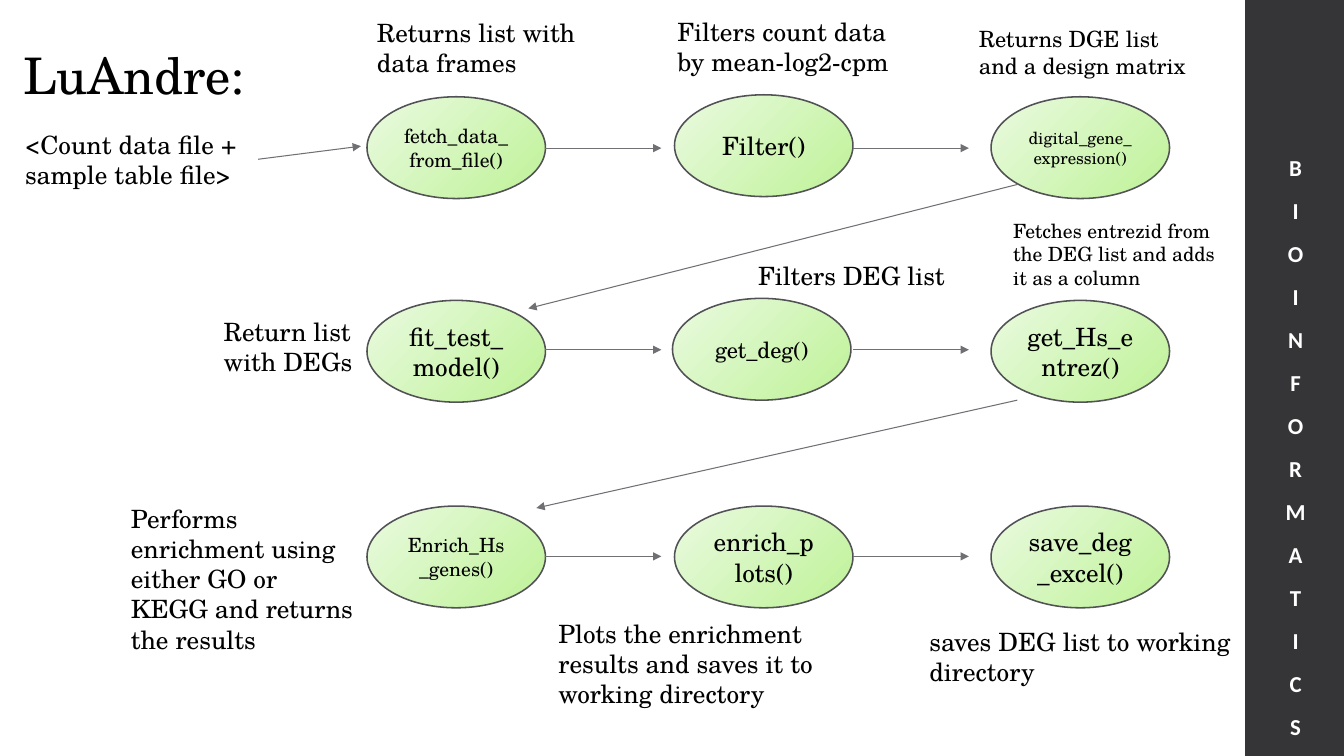
"""Build the LuAndre pipeline slide."""
from dataclasses import dataclass

from lxml.etree import SubElement
from pptx import Presentation
from pptx.dml.color import RGBColor
from pptx.enum.shapes import MSO_CONNECTOR, MSO_SHAPE
from pptx.enum.text import MSO_ANCHOR, MSO_AUTO_SIZE, PP_ALIGN
from pptx.oxml.ns import qn
from pptx.slide import Slide
from pptx.text.text import TextFrame
from pptx.util import Inches, Pt

COLORS = {
    "black": "000000",
    "white": "FFFFFF",
    "sidebar": "353537",
    "outline": "525256",
    "arrow": "6F6F74",
    "green": "BEF297",
    "pale green": "EAFAE0",
}
SERIF = "TeX Gyre Schola"
COLUMNS = (3.64, 6.69, 9.83)
ROW_CENTERS = (1.47, 3.47, 5.52)
STEP_WIDTH, STEP_HEIGHT = 1.77, 1.01
ARROW_LENGTH = 1.15


@dataclass(frozen=True)
class Step:
    text: str
    left: float
    top: float
    size: float = 18


@dataclass(frozen=True)
class Note:
    text: str
    left: float
    top: float
    width: float
    height: float
    size: float = 18


@dataclass(frozen=True)
class Arrow:
    start: tuple[float, float]
    end: tuple[float, float]


STEPS = (
    Step("fetch_data_from_file()", COLUMNS[0], 0.96, 14),
    Step("Filter()", COLUMNS[1], 0.94),
    Step("digital_gene_expression()", COLUMNS[2], 0.96, 12),
    Step("fit_test_model()", COLUMNS[0], 2.98),
    Step("get_deg()", 6.67, 2.96, 16),
    Step("get_Hs_entrez()", COLUMNS[2], 2.98),
    Step("Enrich_Hs_genes()", COLUMNS[0], 5.02, 14),
    Step("enrich_plots()", COLUMNS[1], 5.02),
    Step("save_deg_excel()", COLUMNS[2], 5.02),
)
NOTES = (
    Note("<Count data file + sample table file>", 0.15, 1.23, 2.41, 0.71),
    Note("Returns list with data frames", 3.64, 0.12, 2.41, 0.71),
    Note("Filters count data by mean-log2-cpm", 6.62, 0.11, 2.41, 0.71),
    Note("Returns DGE list and a design matrix", 9.61, 0.2, 2.41, 0.64, 16),
    Note("Return list with DEGs", 2.12, 3.09, 1.65, 0.71),
    Note("Filters DEG list", 7.42, 2.53, 2.41, 0.4),
    Note("Fetches entrezid from the DEG list and adds it as a column",
         9.95, 2.12, 2.27, 0.81, 14),
    Note("Performs enrichment using either GO or KEGG and returns the results",
         1.2, 4.94, 2.41, 1.62),
    Note("Plots the enrichment results and saves it to working directory",
         5.44, 6.08, 3.29, 1.01),
    Note("saves DEG list to working directory", 9.12, 6.16, 3.29, 0.71),
)
ROW_ARROWS = tuple(
    Arrow((left + STEP_WIDTH, center), (left + STEP_WIDTH + ARROW_LENGTH, center))
    for center in ROW_CENTERS
    for left in COLUMNS[:2]
)
LINK_ARROWS = (
    Arrow((10.09, 1.83), (5.24, 3.06)),
    Arrow((10.09, 3.97), (5.32, 5.04)),
    Arrow((2.56, 1.58), (3.58, 1.45)),
)


def rgb(name: str) -> RGBColor:
    """Return the named colour."""
    return RGBColor.from_string(COLORS[name])


def write(frame: TextFrame, text: str, *, size: float = 18, font: str = SERIF,
          color: str = "black", bold: bool = False,
          align: PP_ALIGN = PP_ALIGN.LEFT, anchor: MSO_ANCHOR = MSO_ANCHOR.TOP,
          auto_size: MSO_AUTO_SIZE = MSO_AUTO_SIZE.NONE,
          line_spacing: float = 1.0, before: float = 0, after: float = 0) -> None:
    """Fill a text frame with one formatted paragraph per line of text."""
    frame.text = text
    frame.word_wrap = True
    frame.auto_size = auto_size
    frame.vertical_anchor = anchor
    for paragraph in frame.paragraphs:
        paragraph.alignment = align
        paragraph.line_spacing = line_spacing
        paragraph.space_before = Pt(before)
        paragraph.space_after = Pt(after)
        for run in paragraph.runs:
            run.font.name = font
            run.font.size = Pt(size)
            run.font.bold = bold
            run.font.color.rgb = rgb(color)


def add_sidebar(slide: Slide) -> None:
    """Draw the dark strip with its vertical word."""
    strip = slide.shapes.add_shape(
        MSO_SHAPE.RECTANGLE, Inches(12.35), 0, Inches(1), Inches(7.5))
    strip.shadow.inherit = False
    strip.fill.solid()
    strip.fill.fore_color.rgb = rgb("sidebar")
    strip.line.fill.background()
    box = slide.shapes.add_textbox(
        Inches(12.05), Inches(1.54), Inches(1.6), Inches(5.83))
    write(box.text_frame, "\n".join("BIOINFORMATICS"), size=16.3, font="Calibri",
          color="white", bold=True, align=PP_ALIGN.CENTER,
          line_spacing=0.75, before=14, after=2)


def add_title(slide: Slide) -> None:
    """Place and fill the title."""
    title = slide.shapes.title
    title.left, title.top = Inches(0.13), Inches(0.39)
    title.width, title.height = Inches(10.12), Inches(0.71)
    write(title.text_frame, "LuAndre:", size=36)


def add_step(slide: Slide, step: Step) -> None:
    """Draw one function of the pipeline as an ellipse."""
    shape = slide.shapes.add_shape(
        MSO_SHAPE.OVAL, Inches(step.left), Inches(step.top),
        Inches(STEP_WIDTH), Inches(STEP_HEIGHT))
    shape.shadow.inherit = False
    shape.fill.gradient()
    shape.fill.gradient_angle = 135
    for stop, name in zip(shape.fill.gradient_stops, ("green", "pale green")):
        stop.color.rgb = rgb(name)
    shape.line.color.rgb = rgb("outline")
    shape.line.width = Pt(1.1)
    write(shape.text_frame, step.text, size=step.size,
          align=PP_ALIGN.CENTER, anchor=MSO_ANCHOR.MIDDLE)


def add_arrow(slide: Slide, arrow: Arrow) -> None:
    """Draw a thin line with a triangle at its end."""
    connector = slide.shapes.add_connector(
        MSO_CONNECTOR.STRAIGHT,
        *(Inches(value) for value in arrow.start + arrow.end))
    connector.line.color.rgb = rgb("arrow")
    connector.line.width = Pt(0.75)
    properties = connector.element.spPr
    SubElement(properties.find(qn("a:ln")), qn("a:tailEnd"), type="triangle")
    SubElement(properties, qn("a:effectLst"))


def add_note(slide: Slide, note: Note) -> None:
    """Add one explanatory text box."""
    box = slide.shapes.add_textbox(
        Inches(note.left), Inches(note.top),
        Inches(note.width), Inches(note.height))
    write(box.text_frame, note.text, size=note.size,
          auto_size=MSO_AUTO_SIZE.SHAPE_TO_FIT_TEXT)


def main() -> None:
    """Build and save the presentation."""
    presentation = Presentation()
    presentation.slide_width = Inches(13.33)
    presentation.slide_height = Inches(7.5)
    slide = presentation.slides.add_slide(presentation.slide_layouts[5])
    add_sidebar(slide)
    add_title(slide)
    for step in STEPS:
        add_step(slide, step)
    for arrow in ROW_ARROWS + LINK_ARROWS:
        add_arrow(slide, arrow)
    for note in NOTES:
        add_note(slide, note)
    presentation.save("out.pptx")


if __name__ == "__main__":
    main()
